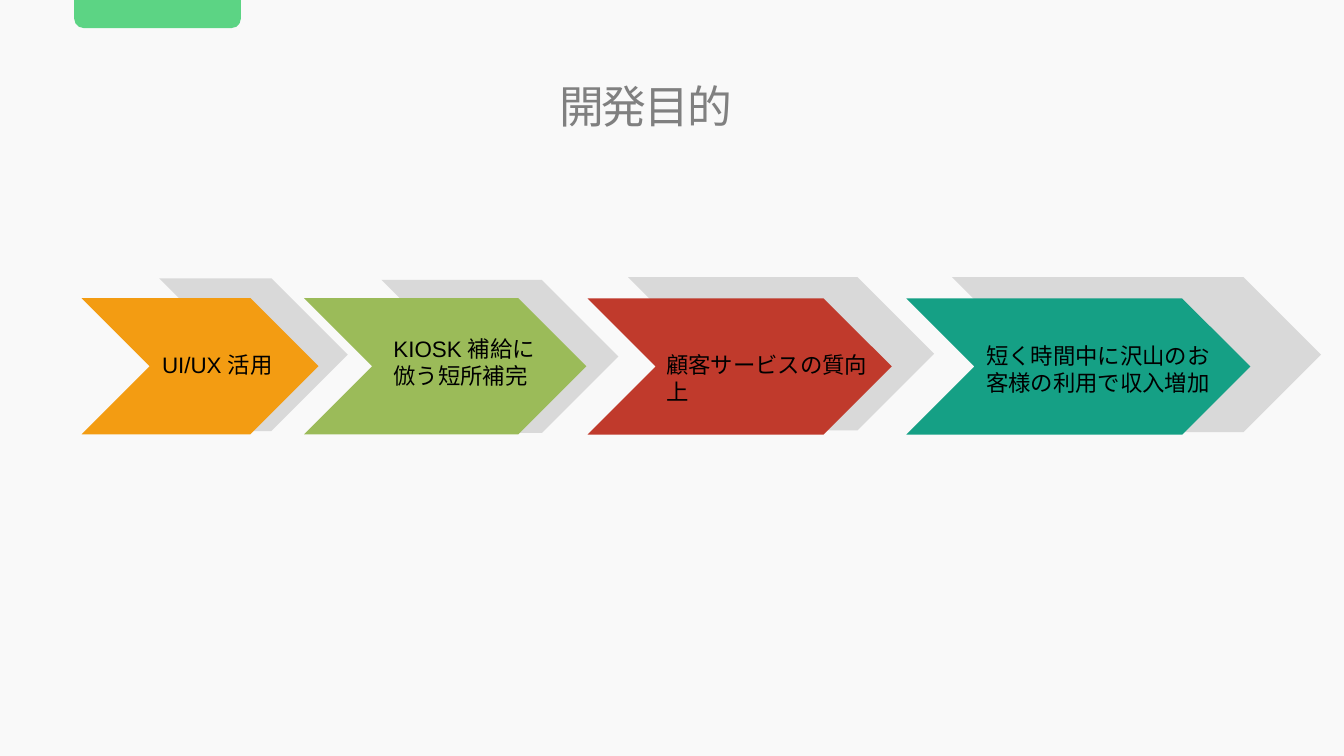
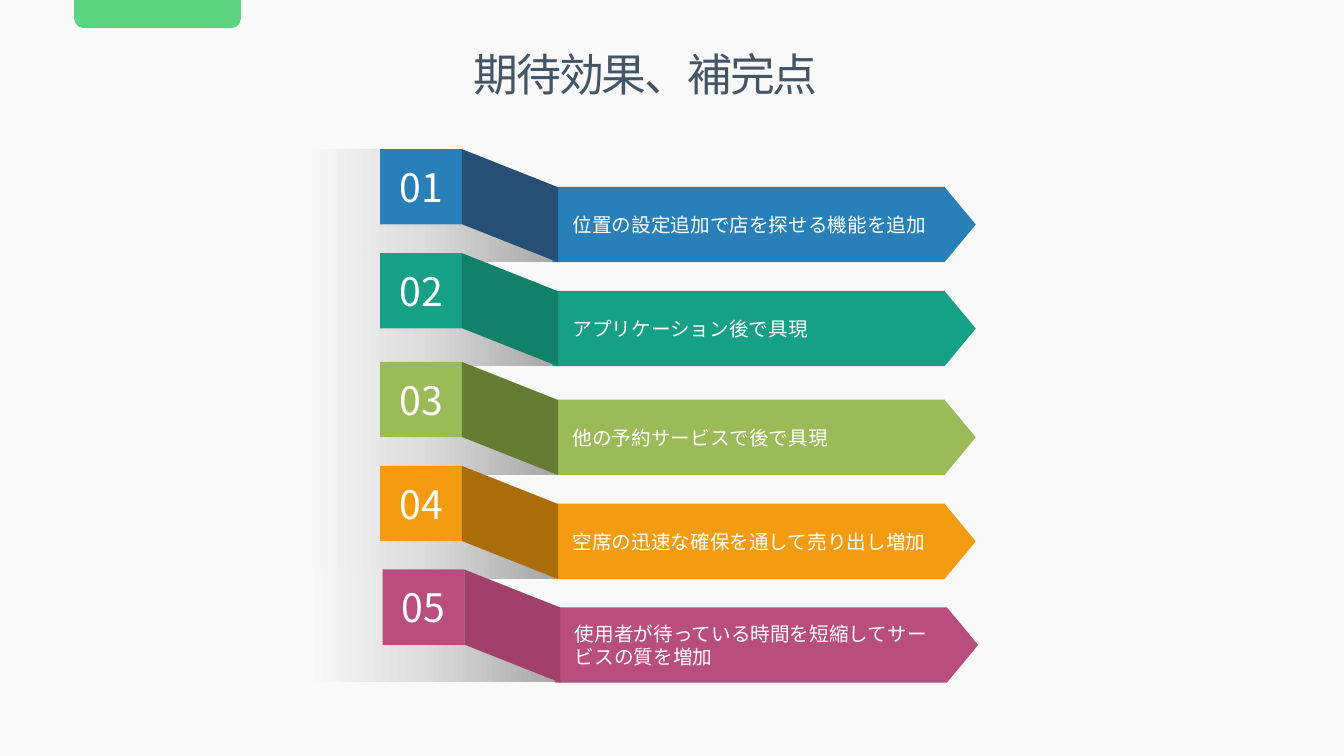
from dataclasses import dataclass

from lxml import etree
from pptx import Presentation
from pptx.dml.color import RGBColor
from pptx.enum.shapes import MSO_SHAPE
from pptx.enum.text import MSO_ANCHOR, MSO_AUTO_SIZE, PP_ALIGN
from pptx.oxml.ns import qn
from pptx.shapes.base import BaseShape
from pptx.slide import Slide
from pptx.util import Pt

LEFT, CENTER = PP_ALIGN.LEFT, PP_ALIGN.CENTER
TOP, MIDDLE = MSO_ANCHOR.TOP, MSO_ANCHOR.MIDDLE
NO_AUTOFIT = MSO_AUTO_SIZE.NONE
CHEVRON, PENTAGON = MSO_SHAPE.CHEVRON, MSO_SHAPE.PENTAGON
RECTANGLE, PARALLELOGRAM = MSO_SHAPE.RECTANGLE, MSO_SHAPE.PARALLELOGRAM
ROUNDED_TAB = MSO_SHAPE.ROUND_2_SAME_RECTANGLE
TITLE_ONLY = 5


@dataclass(frozen=True)
class Theme:
    background: str = "F9F9F9"
    tab: str = "5CD484"
    backdrop: str = "D9D9D9"
    black: str = "000000"
    white: str = "FFFFFF"
    purpose_title: str = "808080"
    effects_title: str = "445566"
    orange: str = "F39C12"
    dark_orange: str = "AB6D09"
    green: str = "9BBB59"
    dark_green: str = "647D33"
    red: str = "C03A2C"
    purpose_teal: str = "15A085"
    teal: str = "16A085"
    dark_teal: str = "12806B"
    blue: str = "2980B9"
    dark_blue: str = "254F75"
    pink: str = "B94D7E"
    dark_pink: str = "A2406C"
    font: str = "Arial"
    number_font: str = "Noto Sans CJK KR"
    title_size: float = 32
    number_size: float = 28
    step_size: float = 16
    effect_size: float = 14
    shadow_stops: tuple[tuple[int, str], ...] = (
        (0, "A6A6A6"), (50, "DDDDDD"), (93, "F9F9F9"), (100, "F9F9F9"))


THEME = Theme()


@dataclass(frozen=True)
class Box:
    left: float
    top: float
    width: float
    height: float

    def lengths(self) -> tuple[Pt, Pt, Pt, Pt]:
        return Pt(self.left), Pt(self.top), Pt(self.width), Pt(self.height)


@dataclass(frozen=True)
class Step:
    text: str
    color: str
    face: Box
    backdrop: Box
    label: Box


@dataclass(frozen=True)
class Effect:
    text: str
    color: str
    fold_color: str
    top: float
    shift: float = 0


STEPS = (
    Step("UI/UX 活用", THEME.orange, Box(58.3, 213, 169.2, 97.2),
         Box(113.6, 198.8, 134.8, 109.2), Box(108.7, 247.6, 114.5, 26.6)),
    Step("KIOSK 補給に倣う短所補完", THEME.green, Box(217.3, 213, 201.6, 97.2),
         Box(272.5, 200, 169.2, 109.2), Box(274, 236, 119.5, 46)),
    Step("顧客サービスの質向上", THEME.red, Box(419.8, 213.2, 217.2, 97.2),
         Box(448.6, 198, 218.6, 109.4), Box(468.9, 247.6, 172.8, 26.6)),
    Step("短く時間中に沢山のお客様の利用で収入増加", THEME.purpose_teal,
         Box(647.5, 213.2, 245.6, 97.2),
         Box(680, 198, 263.6, 110.6), Box(697.5, 240.6, 185, 46)),
)

EFFECTS = (
    Effect("位置の設定追加で店を探せる機能を追加", THEME.blue, THEME.dark_blue, 106.5),
    Effect("アプリケーション後で具現", THEME.teal, THEME.dark_teal, 180.8),
    Effect("他の予約サービスで後で具現", THEME.green, THEME.dark_green, 258.5),
    Effect("空席の迅速な確保を通して売り出し増加", THEME.orange, THEME.dark_orange, 332.8),
    Effect("使用者が待っている時間を短縮してサービスの質を増加",
           THEME.pink, THEME.dark_pink, 406.8, shift=1.7),
)


def write_text(shape: BaseShape, text: str, *, size: float, color: str,
               font: str = THEME.font, align: PP_ALIGN = LEFT,
               anchor: MSO_ANCHOR = TOP, side_inset: float = 7.2,
               tracking: float = 0) -> None:
    frame = shape.text_frame
    frame.auto_size = NO_AUTOFIT
    frame.word_wrap = True
    frame.vertical_anchor = anchor
    frame.margin_left = frame.margin_right = Pt(side_inset)
    frame.margin_top = frame.margin_bottom = Pt(3.6)
    paragraph = frame.paragraphs[0]
    paragraph.alignment = align
    run = paragraph.add_run()
    run.text = text
    run.font.name = font
    run.font.size = Pt(size)
    run.font.color.rgb = RGBColor.from_string(color)
    if tracking:
        run.font._element.set("spc", str(round(tracking * 100)))


def add_filled(slide: Slide, kind: MSO_SHAPE, box: Box, color: str,
               adjustment: float | None = None, rotation: float = 0) -> BaseShape:
    shape = slide.shapes.add_shape(kind, *box.lengths())
    shape.shadow.inherit = False
    shape.fill.solid()
    shape.fill.fore_color.rgb = RGBColor.from_string(color)
    shape.line.fill.background()
    shape.rotation = rotation
    if adjustment is not None:
        shape.adjustments[0] = adjustment
    return shape


def add_titled_slide(prs: Presentation, title: str, color: str, top: float) -> Slide:
    """Add a slide with the shared background, title style and top tab."""
    slide = prs.slides.add_slide(prs.slide_layouts[TITLE_ONLY])
    slide.background.fill.solid()
    slide.background.fill.fore_color.rgb = RGBColor.from_string(THEME.background)
    heading = slide.shapes.title
    heading.left, heading.top, heading.width, heading.height = Box(
        319, top, 284.4, 46).lengths()
    write_text(heading, title, size=THEME.title_size, color=color,
               align=CENTER, anchor=MIDDLE, tracking=-1.5)
    add_filled(slide, ROUNDED_TAB, Box(53, 0, 119, 20), THEME.tab, 0.33, rotation=180)
    return slide


def add_step(slide: Slide, step: Step) -> None:
    add_filled(slide, CHEVRON, step.backdrop, THEME.backdrop)
    add_filled(slide, CHEVRON, step.face, step.color)
    label = slide.shapes.add_textbox(*step.label.lengths())
    write_text(label, step.text, size=THEME.step_size, color=THEME.black)


def add_cast_shadow(slide: Slide, left: float, top: float) -> None:
    """Draw the grey slanted area that fades out to the left of a ribbon."""
    builder = slide.shapes.build_freeform(Pt(left), Pt(top))
    corners = ((121.7, 0.3), (195.4, 80.6), (0, 80.6))
    builder.add_line_segments([(Pt(left + x), Pt(top + y)) for x, y in corners])
    shadow = builder.convert_to_shape()
    shadow.shadow.inherit = False
    shadow.line.fill.background()
    shadow.fill.gradient()
    shadow.fill.gradient_angle = 180
    stops = shadow._element.spPr.find(qn("a:gradFill")).find(qn("a:gsLst"))
    for default_stop in list(stops):
        stops.remove(default_stop)
    for percent, color in THEME.shadow_stops:
        stop = etree.SubElement(stops, qn("a:gs"), pos=str(percent * 1000))
        etree.SubElement(stop, qn("a:srgbClr"), val=color)


def add_effect(slide: Slide, number: int, effect: Effect) -> None:
    """Draw one folded ribbon: shadow, number, arrow and the fold between them."""
    top, shift = effect.top, effect.shift
    add_cast_shadow(slide, 203 + shift, top)
    badge = add_filled(slide, RECTANGLE, Box(271.6 + shift, top, 58.4, 53.8), effect.color)
    write_text(badge, f"{number:02}", size=THEME.number_size, color=THEME.white,
               font=THEME.number_font, align=CENTER, anchor=MIDDLE)
    arrow = add_filled(slide, PENTAGON, Box(394.6 + shift, top + 27, 302.4, 53.8),
                       effect.color, 0.415)
    write_text(arrow, effect.text, size=THEME.effect_size, color=THEME.white,
               anchor=MIDDLE, side_inset=14.4)
    add_filled(slide, PARALLELOGRAM, Box(323.9 + shift, top + 6.1, 80.8, 68.6),
               effect.fold_color, 0.396, rotation=270)


def main() -> None:
    prs = Presentation()
    prs.slide_width, prs.slide_height = Pt(960), Pt(540)

    purpose = add_titled_slide(prs, "開発目的", THEME.purpose_title, 52.6)
    for step in STEPS:
        add_step(purpose, step)

    effects = add_titled_slide(prs, "期待効果、補完点", THEME.effects_title, 29.6)
    for number, effect in enumerate(EFFECTS, start=1):
        add_effect(effects, number, effect)

    prs.save("out.pptx")


if __name__ == "__main__":
    main()
